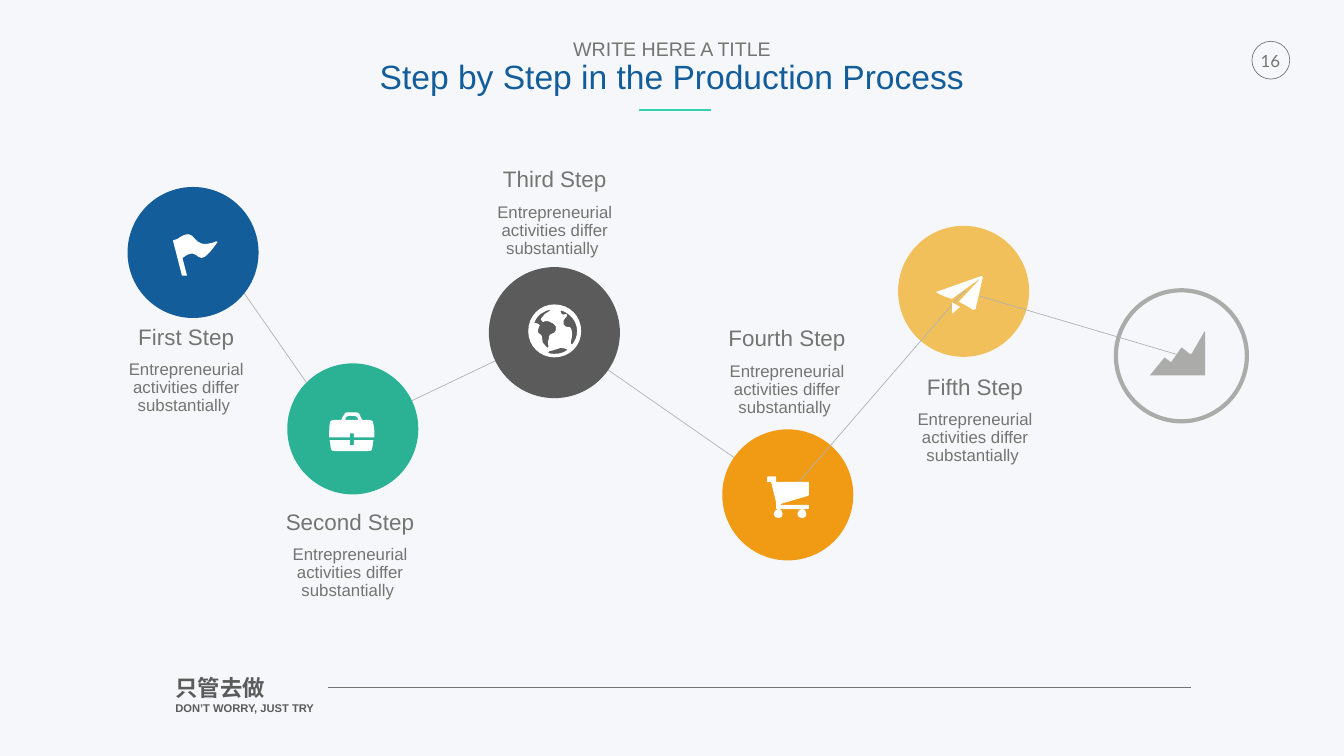
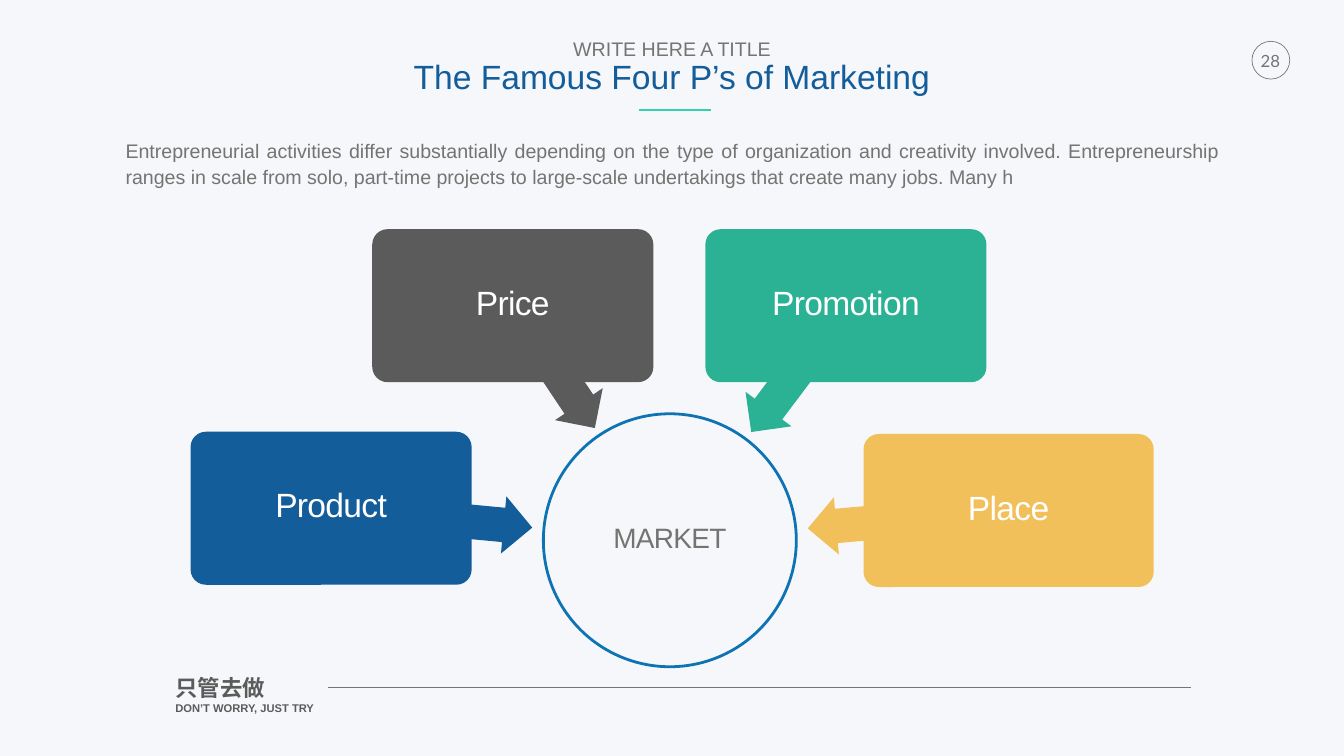
from itertools import pairwise

from lxml.etree import Element, SubElement
from pptx import Presentation
from pptx.dml.color import RGBColor
from pptx.enum.shapes import MSO_CONNECTOR, MSO_SHAPE
from pptx.enum.text import MSO_ANCHOR as Anchor, MSO_AUTO_SIZE as AutoSize, PP_ALIGN as Align
from pptx.oxml.ns import qn
from pptx.util import Pt

BACKGROUND, WHITE = "F6F7FA", "FFFFFF"
TEXT_GRAY, DARK_GRAY, PALE_GRAY, LINE_GRAY = "737572", "5B5B5B", "ABACAA", "B2B2B2"
BLUE, RING_BLUE, GREEN, MINT = "135D9A", "0D73B2", "2BB294", "33D1AD"
ORANGE, YELLOW = "F19A14", "F1C05A"
SLIDE_WIDTH, SLIDE_HEIGHT = 1920, 1080
CIRCLE_SIZE = 187.2
STEP_TEXT_WIDTH = 252.7
ICON_UNIT = 0.72

FLAG = """M 86 15 C 30 37 53 -21 9 10 L 0 13 18 83 28 83 19 48
    C 58 17 42 83 88 17 90 17 88 15 86 15"""
BRIEFCASE = """M 41 42 L 49 42 49 50 90 50 C 90 50 90 31 88 24 88 18 86 15 80 15 L 66 15
    C 62 10 61 5 61 5 59 2 58 0 54 0 L 35 0 C 32 0 30 2 30 5 28 5 27 10 24 15 L 9 15
    C 3 15 1 18 1 24 0 31 0 50 0 50 L 41 50
    M 33 10 C 35 8 35 7 38 7 L 51 7 C 54 7 54 8 56 10 56 10 58 13 58 15 L 32 15
    C 33 13 33 10 33 10
    M 49 65 L 41 65 41 55 1 55 C 1 55 3 63 3 69 3 73 4 77 11 77 L 78 77
    C 85 77 86 73 86 69 86 63 88 55 88 55 L 49 55"""
GLOBE = """M 52 0 C 23 0 0 23 0 53 0 82 23 105 52 105 82 105 105 82 105 53 105 23 82 0 52 0
    M 97 53 C 97 64 93 72 87 80 85 80 83 76 85 72 87 68 87 61 87 57 87 53 85 45 82 45
    76 45 74 45 70 39 66 27 82 25 76 19 74 18 66 25 64 14 L 66 12 C 83 18 97 33 97 53
    M 46 10 C 45 12 42 12 41 14 37 18 35 16 33 19 31 23 25 27 25 29 25 31 29 35 29 35
    31 33 35 33 39 33 41 35 60 37 54 53 52 59 42 57 41 64 41 66 41 72 39 74
    39 76 41 86 39 86 37 86 29 76 29 76 29 74 27 68 27 63 27 59 19 59 19 53
    19 47 23 43 23 41 21 37 14 37 12 37 17 21 31 12 46 10
    M 39 96 C 41 94 41 92 45 92 46 92 48 92 52 90 54 90 60 88 64 86 68 86 76 88 78 90
    70 96 62 98 52 98 48 98 42 98 39 96"""
CART = """M 13 75 C 13 80 18 83 23 83 28 83 31 80 31 75 31 70 28 65 23 65 18 65 13 70 13 75
    M 60 75 C 60 80 65 83 70 83 75 83 78 80 78 75 78 70 75 65 70 65 65 65 60 70 60 75
    M 30 54 L 81 39 C 83 39 83 37 83 35 L 83 11 18 11 18 2 17 0 2 0 C 0 0 0 2 0 2
    L 0 11 8 11 18 52 18 64 C 18 65 20 65 20 65 L 81 65 C 83 65 83 65 83 64
    L 83 57 31 57 C 25 57 25 54 30 54"""
PLANE = """M 90 1 C 88 1 3 32 1 32 -1 32 -1 33 1 33 3 35 19 42 19 42 L 32 46
    C 32 46 86 6 88 6 L 48 49 46 51 48 53 C 48 53 73 66 73 68 75 68 77 68 79 66
    79 64 93 4 93 3 93 1 91 -1 90 1
    M 32 73 C 32 75 32 75 34 75 34 73 48 62 48 62 L 32 53"""
GROWTH = """M 108 1 L 84 43 C 82 45 80 45 78 43 L 66 33 C 64 31 64 31 62 33 L 44 59
    C 44 61 42 61 40 59 L 32 53 C 30 51 28 51 28 53 L 2 85 C 0 87 0 87 2 87
    L 110 87 110 1 C 110 -1 110 -1 108 1"""

CIRCLES = [
    (182.2, 267.1, BLUE),
    (410.4, 519.1, GREEN),
    (698.4, 381.6, DARK_GRAY),
    (1031.8, 613.4, ORANGE),
    (1283, 322.6, YELLOW),
    (1594.1, 414.7, None),
]
STEPS = [
    ("First Step", 266, 454.3),
    ("Second Step", 500, 718.2),
    ("Third Step", 792.4, 229),
    ("Fourth Step", 1124.3, 456.5),
    ("Fifth Step", 1392.8, 525.8),
]
ICONS = [
    (FLAG, 247, 334.1, WHITE),
    (BRIEFCASE, 470.2, 589, WHITE),
    (GLOBE, 754.6, 434.9, WHITE),
    (CART, 1095.8, 680.4, WHITE),
    (PLANE, 1337, 393.8, WHITE),
    (GROWTH, 1642.3, 473.8, PALE_GRAY),
]
FOUR_PS = [
    ("Product", BLUE, (272.2, 616.8, 401.6, 218.6), (472.3, 699.1, 288.7, 82.1), 185.4),
    ("Price", DARK_GRAY, (531.8, 327.4, 401.6, 218.6), (686.2, 483.1, 210.2, 82.1), 236.2),
    ("Promotion", GREEN, (1007.7, 327.4, 401.6, 218.6), (1028.2, 486, 225.4, 82.1), 306.9),
    ("Place", YELLOW, (1233.6, 620, 414.6, 218.6), (1153.4, 701.3, 288, 82.1), 355),
]


def color(hex_code):
    """Turn a hex string into a colour."""
    return RGBColor.from_string(hex_code)


def set_attributes(target, values):
    """Set every attribute named in a dict of format values."""
    for name, value in values.items():
        setattr(target, name, value)


def paint(shape, fill=None, line=None, width=1):
    """Give a shape its fill and outline, without a shadow."""
    shape.shadow.inherit = False
    if fill:
        shape.fill.solid()
        shape.fill.fore_color.rgb = color(fill)
    else:
        shape.fill.background()
    if line:
        shape.line.color.rgb = color(line)
        shape.line.width = Pt(width)
    else:
        shape.line.fill.background()


def write(shape, lines, margin=7.2, wrap=True, anchor=Anchor.TOP, auto_size=AutoSize.NONE,
          spacing=0, **layout):
    """Write lines of (text, size, colour, font values) into a shape."""
    frame = shape.text_frame
    set_attributes(frame, {"word_wrap": wrap, "vertical_anchor": anchor, "auto_size": auto_size})
    for side in ("left", "top", "right", "bottom"):
        setattr(frame, f"margin_{side}", Pt(margin))
    for index, (text, size, hex_code, *font) in enumerate(lines):
        paragraph = frame.add_paragraph() if index else frame.paragraphs[0]
        set_attributes(paragraph, {"alignment": Align.CENTER, **layout})
        run = paragraph.add_run()
        run.text = text
        run.font.color.rgb = color(hex_code)
        values = {"name": "Arial", "size": Pt(size)}
        set_attributes(run.font, values | (font[0] if font else {}))
        if spacing:
            run._r.get_or_add_rPr().set("spc", str(spacing * 100))


def add_preset(slide, preset, box, **style):
    """Add a painted preset shape."""
    shape = slide.shapes.add_shape(preset, *map(Pt, box))
    paint(shape, **style)
    return shape


def add_text(slide, box, lines, **options):
    """Add a text box that grows with its text."""
    text_box = slide.shapes.add_textbox(*map(Pt, box))
    write(text_box, lines, auto_size=AutoSize.SHAPE_TO_FIT_TEXT, **options)


def add_line(slide, start, end, hex_code, width):
    """Add a straight connector without a shadow."""
    connector = slide.shapes.add_connector(MSO_CONNECTOR.STRAIGHT, *map(Pt, (*start, *end)))
    connector.line.color.rgb = color(hex_code)
    connector.line.width = Pt(width)
    SubElement(connector._element.spPr, qn("a:effectLst"))


def trace(outline):
    """Split an outline of M, L and C commands into contours of point groups."""
    contours, command, numbers = [], "", []
    for token in outline.split():
        if token.isalpha():
            command = token
            continue
        numbers.append(int(token))
        if len(numbers) == (6 if command == "C" else 2):
            if command == "M":
                contours.append([])
            contours[-1].append(list(zip(numbers[::2], numbers[1::2])))
            numbers = []
    return contours


def bend(shape, groups, left, top):
    """Turn the straight segments that have control points into curves."""
    segments = list(shape._element.iter(qn("a:lnTo")))
    for segment, points in zip(segments, groups):
        if len(points) == 3:
            curve = Element(qn("a:cubicBezTo"))
            for x, y in points:
                SubElement(curve, qn("a:pt"), x=str(x - left), y=str(y - top))
            segment.getparent().replace(segment, curve)


def add_icon(slide, outline, left, top, fill):
    """Add an icon drawn as one freeform."""
    contours = trace(outline)
    ends = [[points[-1] for points in contour] for contour in contours]
    builder = slide.shapes.build_freeform(*ends[0][0], scale=Pt(ICON_UNIT))
    for index, (start, *others) in enumerate(ends):
        if index:
            builder.move_to(*start)
        builder.add_line_segments(others, close=True)
    shape = builder.convert_to_shape(Pt(left), Pt(top))
    paint(shape, fill)
    min_x, min_y = (min(axis) for axis in zip(*sum(ends, [])))
    bend(shape, [points for contour in contours for points in contour[1:]], min_x, min_y)


def add_frame(slide, number):
    """Add the background, page badge and footer."""
    slide.background.fill.solid()
    slide.background.fill.fore_color.rgb = color(BACKGROUND)
    add_preset(slide, MSO_SHAPE.OVAL, (1788.5, 59, 54, 54), line=TEXT_GRAY)
    motto = [("只管去做", 32, DARK_GRAY, {"bold": True}),
             ("DON’T WORRY, JUST TRY", 16, DARK_GRAY, {"bold": True})]
    add_text(slide, (246.8, 959.8, 287.3, 71.3), motto, margin=3.6, alignment=Align.LEFT)
    add_line(slide, (469, 982), (1701, 982), TEXT_GRAY, 0.25)
    add_text(slide, (1790, 64.6, 50, 43.2), [(number, 24, TEXT_GRAY, {"name": "Lato"})],
             wrap=False)


def add_title(slide, title, width):
    """Add the centred heading with its accent line."""
    lines = [("WRITE HERE A TITLE", 28, TEXT_GRAY), (title, 48, BLUE)]
    add_text(slide, ((SLIDE_WIDTH - width) / 2, 53.3, width, 95.8), lines,
             margin=3.6, wrap=False, line_spacing=0.9)
    add_line(slide, (1015.9, 157), (912.2, 157), MINT, 3)


def add_step_text(slide, name, center, top):
    """Add the name and description of a step."""
    left = center - STEP_TEXT_WIDTH / 2
    add_text(slide, (left, top, STEP_TEXT_WIDTH, 52.6), [(name, 32, TEXT_GRAY)])
    description = "Entrepreneurial activities differ substantially "
    add_text(slide, (left, top + 55, STEP_TEXT_WIDTH, 95), [(description, 24, TEXT_GRAY)],
             line_spacing=0.89)


def add_process_slide(slide):
    """Build the chain of production steps."""
    add_frame(slide, "16")
    centers = [(left + CIRCLE_SIZE / 2, top + CIRCLE_SIZE / 2) for left, top, _ in CIRCLES]
    links = [((347, 416.2), (437.8, 546.5)), *pairwise(centers[1:])]
    for start, end in links[:3]:
        add_line(slide, start, end, LINE_GRAY, 1)
    for left, top, fill in CIRCLES:
        add_preset(slide, MSO_SHAPE.OVAL, (left, top, CIRCLE_SIZE, CIRCLE_SIZE),
                   fill=fill, line=None if fill else PALE_GRAY, width=6)
    for start, end in links[3:]:
        add_line(slide, start, end, LINE_GRAY, 1)
    for step in STEPS:
        add_step_text(slide, *step)
    add_title(slide, "Step by Step in the Production Process", 843)
    for icon in ICONS:
        add_icon(slide, *icon)


def add_marketing_slide(slide):
    """Build the four cards that point at the market."""
    add_frame(slide, "28")
    centered = {"anchor": Anchor.MIDDLE, "line_spacing": 0.8, "spacing": -1}
    market = add_preset(slide, MSO_SHAPE.OVAL, (776.2, 591.1, 361.4, 361.4),
                        line=RING_BLUE, width=4)
    write(market, [("MARKET", 40, TEXT_GRAY)], margin=0, **centered)
    for name, fill, card_box, arrow_box, angle in FOUR_PS:
        arrow = add_preset(slide, MSO_SHAPE.LEFT_ARROW, arrow_box, fill=fill)
        arrow.adjustments[0], arrow.adjustments[1] = 0.6, 0.5
        arrow.rotation = angle
        card = add_preset(slide, MSO_SHAPE.ROUNDED_RECTANGLE, card_box, fill=fill)
        card.adjustments[0] = 0.1
        write(card, [(name, 48, WHITE)], margin=11.5, **centered)
    add_title(slide, "The Famous Four P’s of Marketing", 747)
    introduction = (
        "Entrepreneurial activities differ substantially depending on the type of organization "
        "and creativity involved. Entrepreneurship ranges in scale from solo, part-time projects "
        "to large-scale undertakings that create many jobs. Many h"
    )
    add_text(slide, (179.3, 196, 1561, 71.3), [(introduction, 28, TEXT_GRAY)], margin=0,
             anchor=Anchor.MIDDLE, alignment=Align.JUSTIFY, line_spacing=1.1,
             space_before=Pt(30))


def main():
    """Build and save the presentation."""
    presentation = Presentation()
    set_attributes(presentation, {"slide_width": Pt(SLIDE_WIDTH), "slide_height": Pt(SLIDE_HEIGHT)})
    blank = presentation.slide_layouts[6]
    for build in (add_process_slide, add_marketing_slide):
        build(presentation.slides.add_slide(blank))
    presentation.save("out.pptx")


if __name__ == "__main__":
    main()
